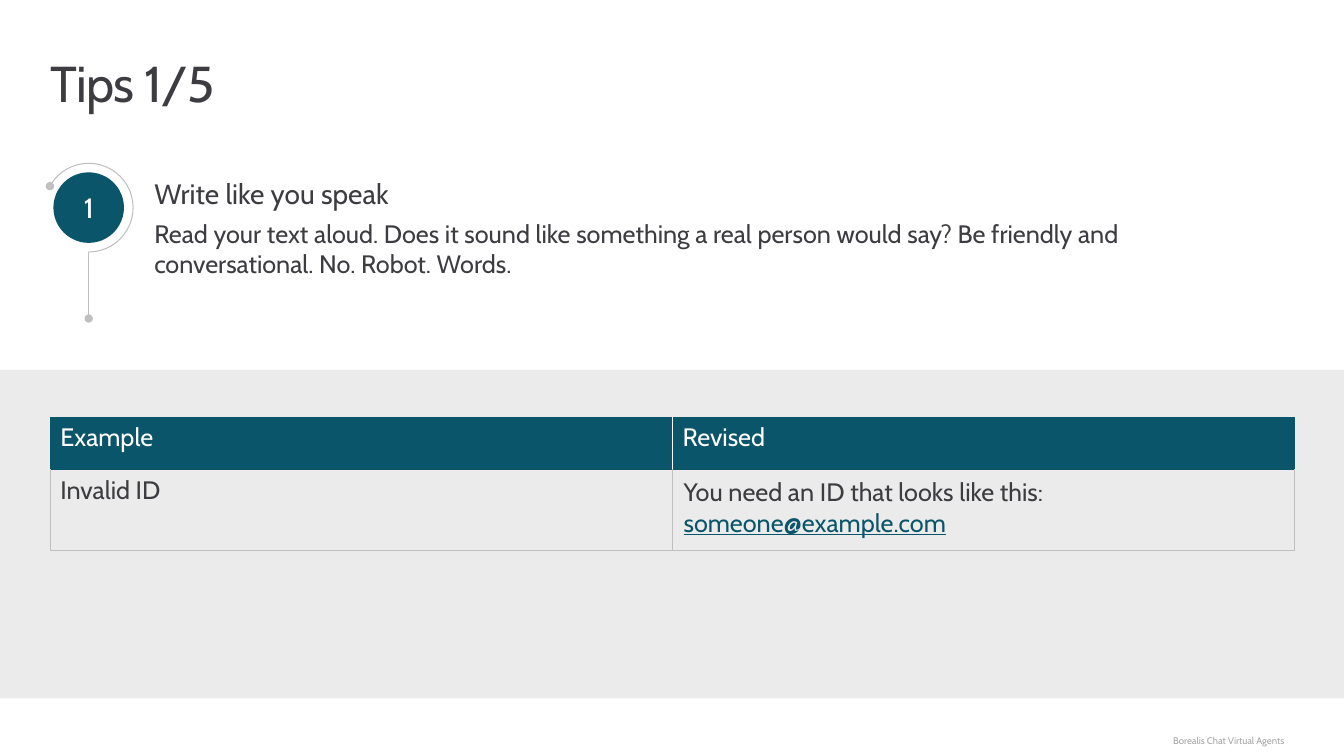
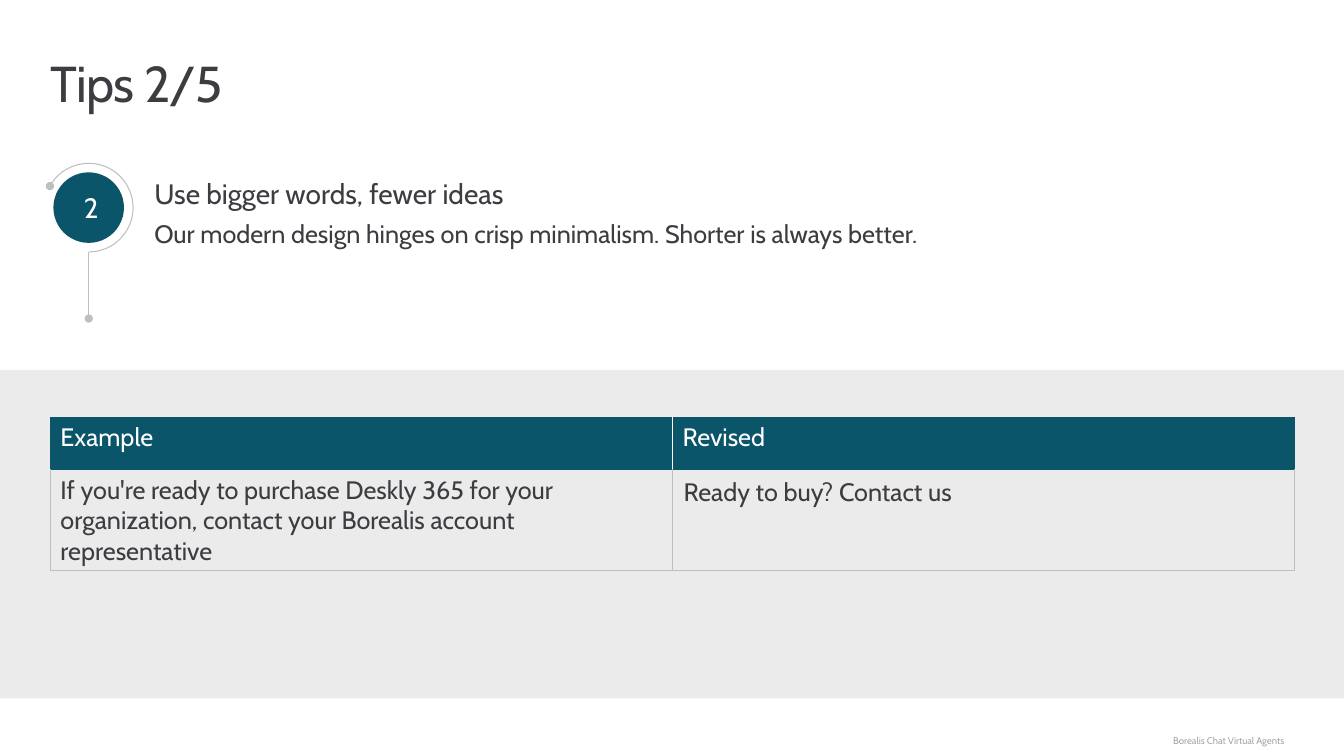
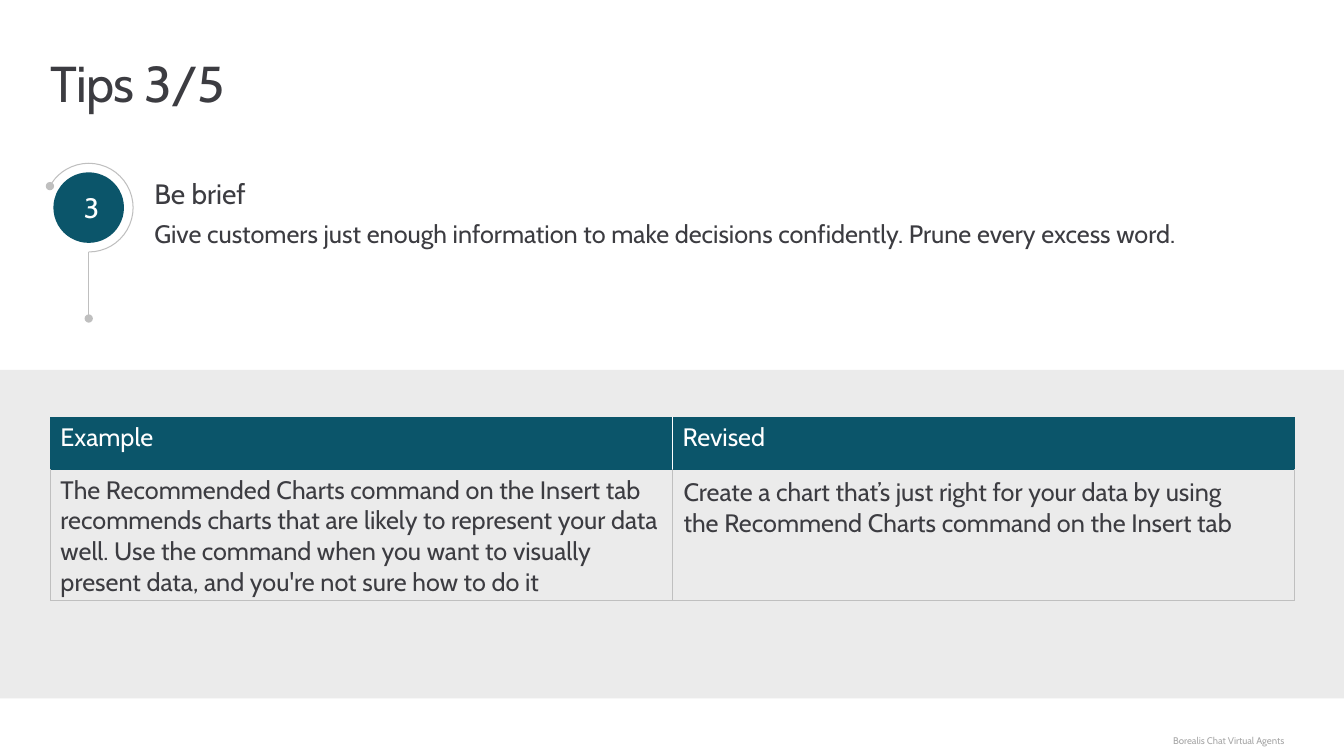
from lxml import etree
from pptx import Presentation
from pptx.dml.color import RGBColor
from pptx.enum.shapes import MSO_CONNECTOR, MSO_SHAPE
from pptx.enum.text import MSO_ANCHOR, PP_ALIGN
from pptx.oxml.ns import qn
from pptx.util import Inches, Pt

LEFT, CENTER, RIGHT = PP_ALIGN.LEFT, PP_ALIGN.CENTER, PP_ALIGN.RIGHT
TOP, MIDDLE = MSO_ANCHOR.TOP, MSO_ANCHOR.MIDDLE
RECT, OVAL, ARC = MSO_SHAPE.RECTANGLE, MSO_SHAPE.OVAL, MSO_SHAPE.ARC
STRAIGHT = MSO_CONNECTOR.STRAIGHT

TEAL = RGBColor(0x0B, 0x55, 0x6A)
INK = RGBColor(0x3C, 0x3C, 0x41)
WHITE = RGBColor(0xFF, 0xFF, 0xFF)
BAND = RGBColor(0xEB, 0xEB, 0xEB)
RULE = RGBColor(0xBF, 0xBF, 0xBF)
MUTED = RGBColor(0xA6, 0xA6, 0xA6)

FONT = "Cabin"
FOOTER = "Borealis Chat Virtual Agents"
SLIDE_W, SLIDE_H, MARGIN = 13.33, 7.5, 0.5
TABLE_TOP, COL_W, HEAD_H = 4.14, 6.17, 0.52

TIPS = [
    {
        "heading": "Write like you speak",
        "advice": "Read your text aloud. Does it sound like something a real person would say? "
                  "Be friendly and conversational. No. Robot. Words.",
        "example": "Invalid ID",
        "revised": "You need an ID that looks like this: ",
        "address": "someone@example.com",
        "row_h": 0.8,
        "revised_h": 0.61,
    },
    {
        "heading": "Use bigger words, fewer ideas",
        "advice": "Our modern design hinges on crisp minimalism. Shorter is always better.",
        "example": "If you're ready to purchase Deskly 365 for your organization, "
                   "contact your Borealis account representative",
        "revised": "Ready to buy? Contact us",
        "row_h": 1.0,
        "revised_h": 0.3,
    },
    {
        "heading": "Be brief",
        "advice": "Give customers just enough information to make decisions confidently. "
                  "Prune every excess word.",
        "example": "The Recommended Charts command on the Insert tab recommends charts that are "
                   "likely to represent your data well. Use the command when you want to visually "
                   "present data, and you're not sure how to do it",
        "revised": "Create a chart that’s just right for your data by using "
                   "the Recommend Charts command on the Insert tab",
        "row_h": 1.3,
        "revised_h": 0.91,
    },
]


def box(x, y, w, h):
    """Return a box in inches as lengths."""
    return Inches(x), Inches(y), Inches(w), Inches(h)


def style(p, size, color, align=LEFT):
    """Set the font and alignment of a paragraph."""
    p.font.name, p.font.size, p.font.color.rgb = FONT, Pt(size), color
    p.alignment = align


def set_frame(tf, insets=(0, 0), anchor=TOP):
    """Wrap a text frame and set its side and end insets."""
    tf.word_wrap = True
    tf.vertical_anchor = anchor
    tf.margin_left = tf.margin_right = Inches(insets[0])
    tf.margin_top = tf.margin_bottom = Inches(insets[1])


def add_text(shapes, bounds, text, size, color, insets=(0, 0), align=LEFT, anchor=TOP):
    """Add a text box with one paragraph and return its frame."""
    tf = shapes.add_textbox(*box(*bounds)).text_frame
    set_frame(tf, insets, anchor)
    tf.text = text
    style(tf.paragraphs[0], size, color, align)
    return tf


def add_solid(shapes, kind, bounds, color):
    """Add a filled shape without outline."""
    sp = shapes.add_shape(kind, *box(*bounds))
    sp.shadow.inherit = False
    sp.fill.solid()
    sp.fill.fore_color.rgb = color
    sp.line.fill.background()
    return sp


def add_dot_end(sp, tag):
    """Make a thin grey line with a dot at one end."""
    sp.line.color.rgb = RULE
    sp.line.width = Pt(0.75)
    etree.SubElement(sp.line._get_or_add_ln(), qn(tag), type="oval")


def add_title(slide, text):
    """Place and format the slide title."""
    title = slide.shapes.title
    title.left, title.top, title.width, title.height = box(MARGIN, 0.68, 12.36, 0.44)
    tf = title.text_frame
    tf.text = text
    set_frame(tf)
    p = tf.paragraphs[0]
    style(p, 36, INK)
    p.line_spacing = Pt(31.4)
    p.runs[0]._r.get_or_add_rPr().set("spc", "-50")


def add_badge(shapes, x, y, number):
    """Draw a numbered disc with its ring and stem."""
    d, gap, stem = 0.7, 0.09, 0.66
    ring_d = d + 2 * gap
    disc = add_solid(shapes, OVAL, (x + gap, y + gap, d, d), TEAL)
    set_frame(disc.text_frame, (0.2, 0.16), MIDDLE)
    disc.text_frame.text = str(number)
    style(disc.text_frame.paragraphs[0], 20, WHITE, CENTER)

    ring = shapes.add_shape(ARC, *box(x, y, ring_d, ring_d))
    ring.shadow.inherit = False
    ring.fill.background()
    ring.adjustments[0], ring.adjustments[1] = 209 * 0.6, 90 * 0.6
    add_dot_end(ring, "a:headEnd")

    mid, bottom = Inches(x + ring_d / 2), y + ring_d
    line = shapes.add_connector(STRAIGHT, mid, Inches(bottom), mid, Inches(bottom + stem))
    add_dot_end(line, "a:tailEnd")
    etree.SubElement(line._element.spPr, qn("a:effectLst"))


def add_tip(slide, x, y, number, tip):
    """Group the badge with the heading and advice beside it."""
    shapes = slide.shapes.add_group_shape().shapes
    add_badge(shapes, x, y, number)
    tf = add_text(shapes, (x + 1.09, y + 0.03, 10.92, 1.56), tip["heading"], 20, INK, (0, 0.1))
    p = tf.add_paragraph()
    p.text = tip["advice"]
    style(p, 18, INK)
    for p in tf.paragraphs:
        p.space_after = Pt(6)


def set_borders(cell, colors):
    """Draw the left, right, top and bottom borders of a cell."""
    tcPr = cell._tc.get_or_add_tcPr()
    for side, color in zip("LRTB", colors):
        ln = etree.SubElement(tcPr, qn(f"a:ln{side}"), w=str(Pt(0.5)))
        fill = etree.SubElement(ln, qn("a:solidFill"))
        etree.SubElement(fill, qn("a:srgbClr"), val=str(color))


def add_comparison(slide, x, y, tip):
    """Add the example and revised table with the revised wording."""
    shapes = slide.shapes
    frame = shapes.add_table(2, 2, *box(x, y, 2 * COL_W, HEAD_H + tip["row_h"]))
    table = frame.table
    table.horz_banding = False
    table.rows[0].height, table.rows[1].height = Inches(HEAD_H), Inches(tip["row_h"])
    for col, (head, body) in enumerate([("Example", tip["example"]), ("Revised", "")]):
        table.columns[col].width = Inches(COL_W)
        cell = table.cell(0, col)
        sides = (TEAL, WHITE) if col == 0 else (WHITE, TEAL)
        set_borders(cell, (*sides, TEAL, TEAL))
        cell.fill.solid()
        cell.fill.fore_color.rgb = TEAL
        cell.text = head
        style(cell.text_frame.paragraphs[0], 18, WHITE)

        cell = table.cell(1, col)
        set_borders(cell, (RULE, RULE, TEAL, RULE))
        cell.fill.background()
        cell.text = body
        style(cell.text_frame.paragraphs[0], 18, INK)

    bounds = (x + COL_W + 0.11, y + HEAD_H + 0.07, 5.58, tip["revised_h"])
    tf = add_text(shapes, bounds, tip["revised"], 18, INK)
    if "address" in tip:
        r = tf.paragraphs[0].add_run()
        r.text = tip["address"]
        r.font.color.rgb = TEAL
        r.font.underline = True


def add_tip_slide(prs, number, tip):
    """Build one tip slide."""
    slide = prs.slides.add_slide(prs.slide_layouts[5])
    add_solid(slide.shapes, RECT, (0, 3.67, SLIDE_W, 3.26), BAND)
    add_title(slide, f"Tips {number}/5")
    add_tip(slide, 0.44, 1.62, number, tip)
    add_comparison(slide, MARGIN, TABLE_TOP, tip)
    add_text(slide.shapes, (8.74, 7.28, 4, 0.13), FOOTER, 6.9, MUTED, align=RIGHT, anchor=MIDDLE)


def main():
    """Build and save the presentation."""
    prs = Presentation()
    prs.slide_width, prs.slide_height = Inches(SLIDE_W), Inches(SLIDE_H)
    for number, tip in enumerate(TIPS, 1):
        add_tip_slide(prs, number, tip)
    prs.save("out.pptx")


if __name__ == "__main__":
    main()
